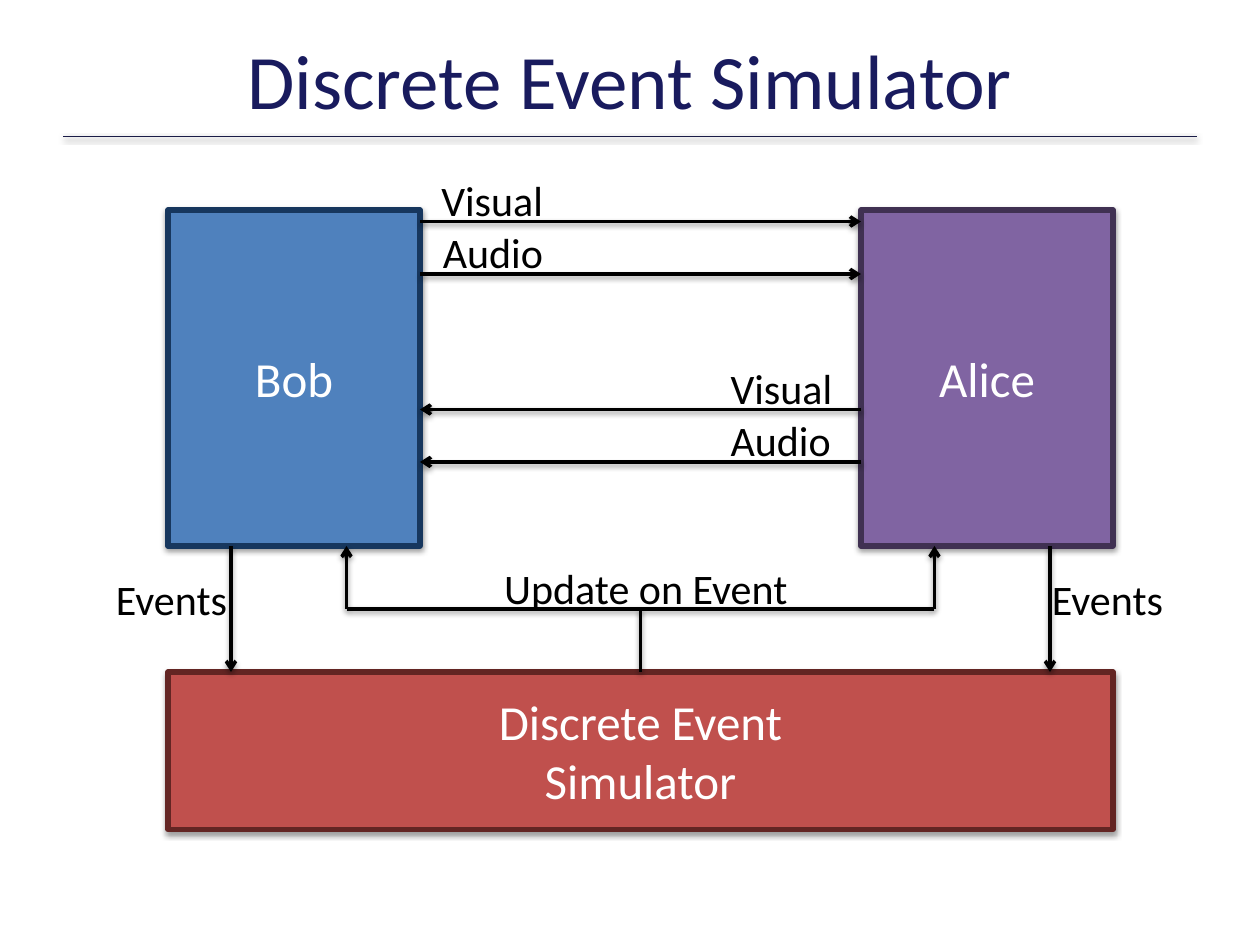
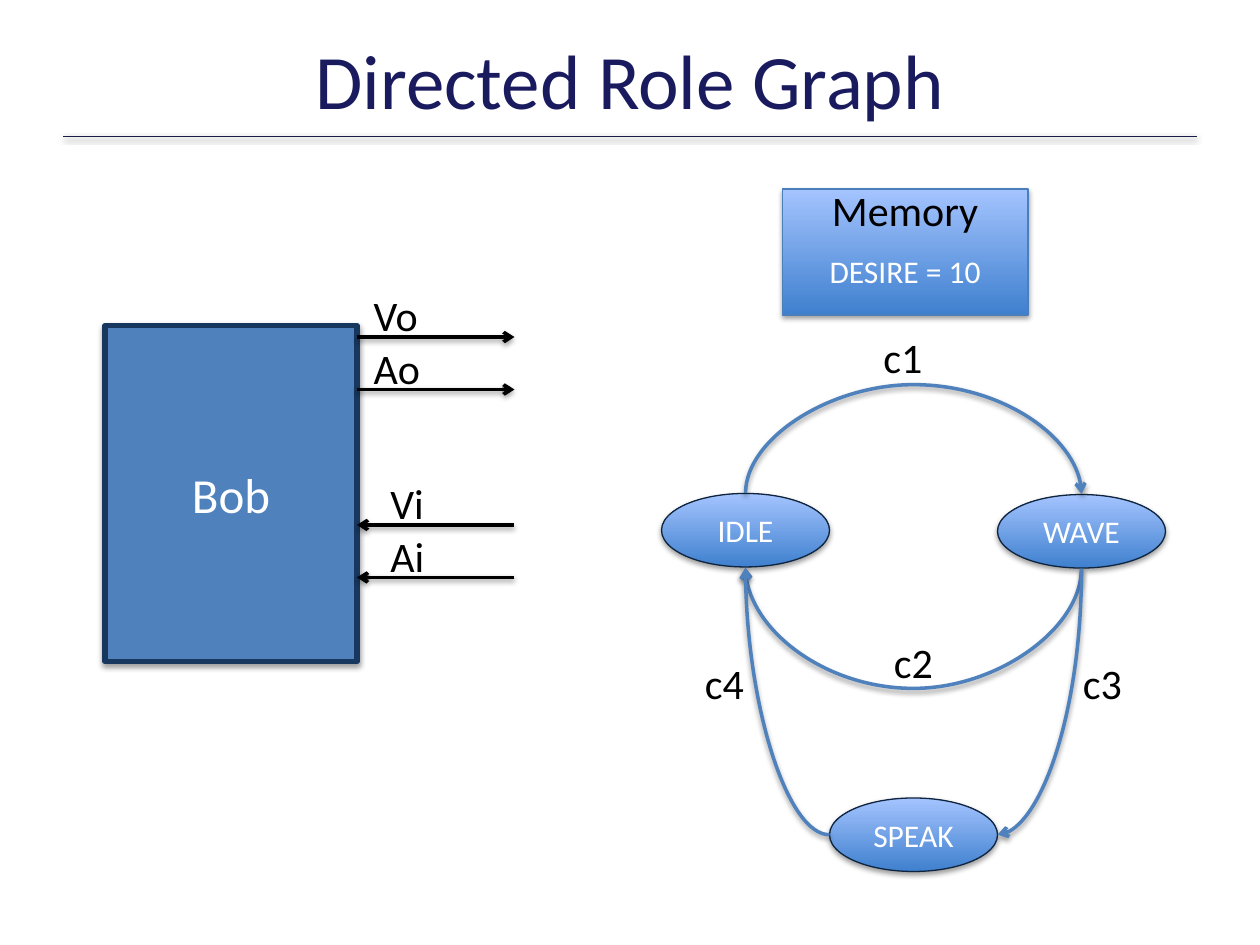
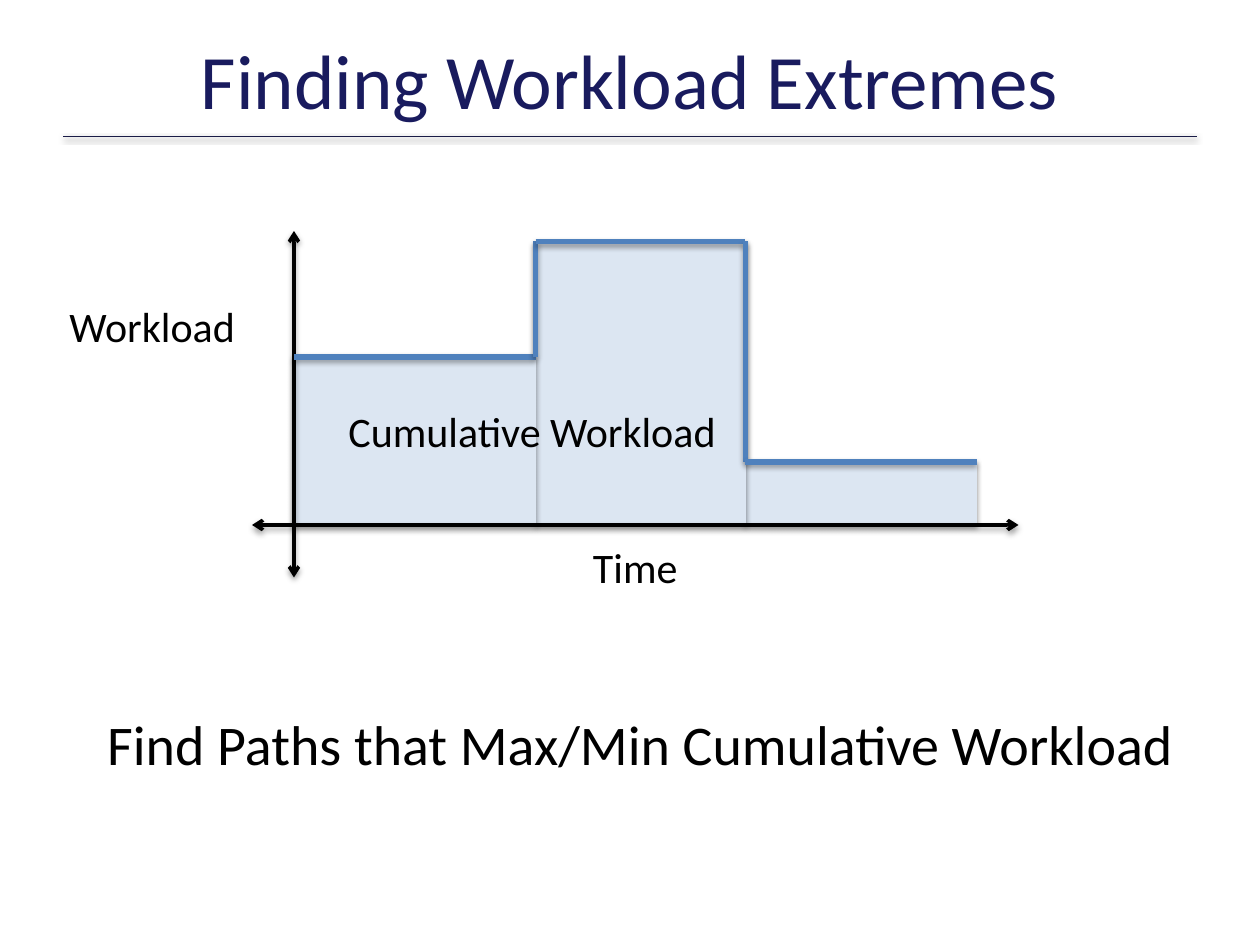
"""Build three slides on simulating agents, their role graph and their workload."""
import dataclasses
import itertools

import lxml.etree
import pptx
import pptx.dml.color
import pptx.enum.dml
import pptx.enum.shapes
import pptx.enum.text
import pptx.oxml.ns
import pptx.util


@dataclasses.dataclass(frozen=True)
class Theme:
    font: str = "Calibri"
    title_size: int = 44
    closing_size: int = 32
    agent_size: int = 28
    label_size: int = 24
    state_size: int = 18
    title: str = "191B5E"
    rule: str = "1A1C47"
    black: str = "000000"
    white: str = "FFFFFF"
    blue: str = "4F81BD"
    blue_edge: str = "17375E"
    purple: str = "8064A2"
    purple_edge: str = "403152"
    red: str = "C0504D"
    red_edge: str = "632523"
    pale: str = "DCE6F2"
    state_edge: str = "0F243E"
    memory_edge: str = "4B7EBC"
    gradient: tuple = ("3F80CE", "A4C4FF")


theme = Theme()
rgb = pptx.dml.color.RGBColor.from_string
qn = pptx.oxml.ns.qn
Shape = pptx.enum.shapes.MSO_SHAPE
Connector = pptx.enum.shapes.MSO_CONNECTOR
Kind = pptx.enum.shapes.MSO_SHAPE_TYPE
Align = pptx.enum.text.PP_ALIGN
Anchor = pptx.enum.text.MSO_ANCHOR

deck = pptx.Presentation()
deck.slide_width = pptx.util.Inches(10)
deck.slide_height = pptx.util.Inches(7.5)
cell = deck.slide_width / 120


def add_box(page, place, text="", size=theme.label_size, color=theme.black,
            align=Align.CENTER, fill=None, edge=None, edge_width=3, shape=Shape.RECTANGLE):
    """Add a filled shape, or a plain text box when no fill is given."""
    left, top, width, height = [round(value * cell) for value in place]
    if fill is None:
        box = page.shapes.add_textbox(left, top, width, height)
        box.text_frame.auto_size = pptx.enum.text.MSO_AUTO_SIZE.SHAPE_TO_FIT_TEXT
    else:
        box = page.shapes.add_shape(shape, left, top, width, height)
        box.text_frame.vertical_anchor = Anchor.MIDDLE
        if isinstance(fill, tuple):
            box.fill.gradient()
            box.fill.gradient_angle = 90
            for stop, shade in zip(box.fill.gradient_stops, fill):
                stop.color.rgb = rgb(shade)
        else:
            box.fill.solid()
            box.fill.fore_color.rgb = rgb(fill)
        box.line.color.rgb = rgb(edge)
        box.line.width = pptx.util.Pt(edge_width)
    box.text_frame.word_wrap = True
    box.text_frame.text = text
    for para in box.text_frame.paragraphs:
        para.alignment = align
        for span in para.runs:
            span.font.name = theme.font
            span.font.size = pptx.util.Pt(size)
            span.font.color.rgb = rgb(color)
    return box


def add_line(page, start, end, color=theme.black, width=2, arrows=(), kind=Connector.STRAIGHT):
    """Add a connector between two grid points, with arrowheads at the named ends."""
    line = page.shapes.add_connector(kind, *[round(value * cell) for value in (*start, *end)])
    line.line.color.rgb = rgb(color)
    line.line.width = pptx.util.Pt(width)
    outline = line._element.spPr.find(qn("a:ln"))
    for arrow in arrows:
        lxml.etree.SubElement(outline, qn(f"a:{arrow}End"), type="arrow")
    return line


pages = []
for heading in ("Discrete Event Simulator", "Directed Role Graph", "Finding Workload Extremes"):
    page = deck.slides.add_slide(deck.slide_layouts[5])
    title = page.shapes.title
    title.left, title.top, title.width, title.height = [round(value * cell) for value in (6, 2, 108, 11)]
    title.text_frame.text = heading
    title.text_frame.vertical_anchor = Anchor.MIDDLE
    para = title.text_frame.paragraphs[0]
    para.alignment = Align.CENTER
    para.runs[0].font.name = theme.font
    para.runs[0].font.size = pptx.util.Pt(theme.title_size)
    para.runs[0].font.color.rgb = rgb(theme.title)
    add_line(page, (6, 13), (114, 13), theme.rule, 0.25)
    pages.append(page)
simulator_page, graph_page, workload_page = pages

agents = [
    (simulator_page, (82, 20, 24, 32), "Alice", theme.purple, theme.purple_edge),
    (simulator_page, (16, 20, 24, 32), "Bob", theme.blue, theme.blue_edge),
    (graph_page, (10, 31, 24, 32), "Bob", theme.blue, theme.blue_edge),
    (simulator_page, (16, 64, 90, 15), "Discrete Event\nSimulator", theme.red, theme.red_edge),
]
for page, place, name, fill, edge in agents:
    agent = add_box(page, place, name, theme.agent_size, theme.white, fill=fill, edge=edge)
simulator = agent

signals = [
    (simulator_page, 40, 82, 21.1, "Visual", 35.4, Align.RIGHT),
    (simulator_page, 40, 82, 26.1, "Audio", 35.4, Align.RIGHT),
    (simulator_page, 82, 40, 39, "Visual", 68.4, Align.LEFT),
    (simulator_page, 82, 40, 44, "Audio", 68.4, Align.LEFT),
    (graph_page, 34, 49, 32.1, "Vo", 34.4, Align.LEFT),
    (graph_page, 34, 49, 37.1, "Ao", 34.4, Align.LEFT),
    (graph_page, 49, 34, 50, "Vi", 36, Align.LEFT),
    (graph_page, 49, 34, 55, "Ai", 36, Align.LEFT),
]
for page, start, end, row, name, left, align in signals:
    add_line(page, (start, row), (end, row), arrows=["tail"])
    add_box(page, (left, row - 5.1, 17.5, 6), name, align=align)

for column, left, align in ((22, 9, Align.RIGHT), (100, 99, Align.LEFT)):
    add_line(simulator_page, (column, 52), (column, 64), arrows=["tail"])
    add_box(simulator_page, (left, 54, 13.8, 6), "Events", align=align)

stem = add_line(simulator_page, (61, 64), (61, 58))
stem.begin_connect(simulator, 0)
for column in (33, 89):
    add_line(simulator_page, (61, 58), (column, 58))
    add_line(simulator_page, (column, 58), (column, 52), arrows=["tail"])
add_box(simulator_page, (42, 53, 39, 6), "Update on Event")

for left, top, state in ((63, 47, "IDLE"), (95, 47.1, "WAVE"), (79, 76, "SPEAK")):
    add_box(graph_page, (left, top, 16, 7), state, theme.state_size, theme.white,
            fill=theme.gradient, edge=theme.state_edge, edge_width=0.75, shape=Shape.OVAL)

transitions = [
    ((87.05, 31), (86.95, 63), 270, "curvedConnector3", -104),
    ((87.05, 38.1), (86.95, 70.1), 90, "curvedConnector3", -115),
    ((71, 54.1), (79, 79.5), 180, "curvedConnector2", None),
    ((86.35, 62.85), (111.65, 70.85), 90, "curvedConnector2", None),
]
for start, end, turn, curve, bulge in transitions:
    line = add_line(graph_page, start, end, theme.blue, arrows=["tail"], kind=Connector.CURVE)
    properties = line._element.spPr
    properties.find(qn("a:xfrm")).set("rot", str(turn * 60000))
    geometry = properties.find(qn("a:prstGeom"))
    geometry.set("prst", curve)
    if bulge:
        lxml.etree.SubElement(geometry.find(qn("a:avLst")), qn("a:gd"),
                              name="adj1", fmla=f"val {bulge * 100000}")

memory = add_box(graph_page, (74.5, 18, 23.4, 12), "DESIRE = 10", theme.state_size, theme.white,
                 fill=theme.gradient, edge=theme.memory_edge, edge_width=0.75)
memory.text_frame.margin_top = pptx.util.Inches(0.35)
add_box(graph_page, (74.5, 17, 23.4, 6), "Memory")
for left, top, condition in ((79, 31, "c1"), (80, 60, "c2"), (98, 62, "c3"), (62, 62, "c4")):
    add_box(graph_page, (left, top, 14, 6), condition)

baseline = 50
steps = [(28, 51, 34), (51, 71, 23), (71, 93, 44)]
for left, right, top in reversed(steps):
    add_box(workload_page, (left, top, right - left, baseline - top),
            fill=theme.pale, edge=theme.pale, edge_width=0.75)
for start, end in (((28, 22), (28, 55)), ((24, baseline), (97, baseline))):
    add_line(workload_page, start, end, arrows=["head", "tail"])
corners = [(column, top) for left, right, top in steps for column in (left, right)]
for start, end in itertools.pairwise(corners):
    add_line(workload_page, start, end, theme.blue, 3)

add_box(workload_page, (51, 51, 19, 6), "Time")
add_box(workload_page, (5, 28, 19, 6), "Workload")
add_box(workload_page, (32, 38, 38, 6), "Cumulative Workload", align=Align.LEFT)
add_box(workload_page, (8, 67, 106, 7.7), "Find Paths that Max/Min Cumulative Workload", theme.closing_size)

for page in pages:
    for shape in page.shapes:
        if shape.shape_type in (Kind.AUTO_SHAPE, Kind.LINE):
            effects = lxml.etree.SubElement(shape._element.spPr, qn("a:effectLst"))
            shadow = lxml.etree.SubElement(effects, qn("a:outerShdw"), blurRad="40000",
                                           dist="20000", dir="5400000", rotWithShape="0")
            tint = lxml.etree.SubElement(shadow, qn("a:srgbClr"), val=theme.black)
            lxml.etree.SubElement(tint, qn("a:alpha"), val="38000")

deck.save("out.pptx")
